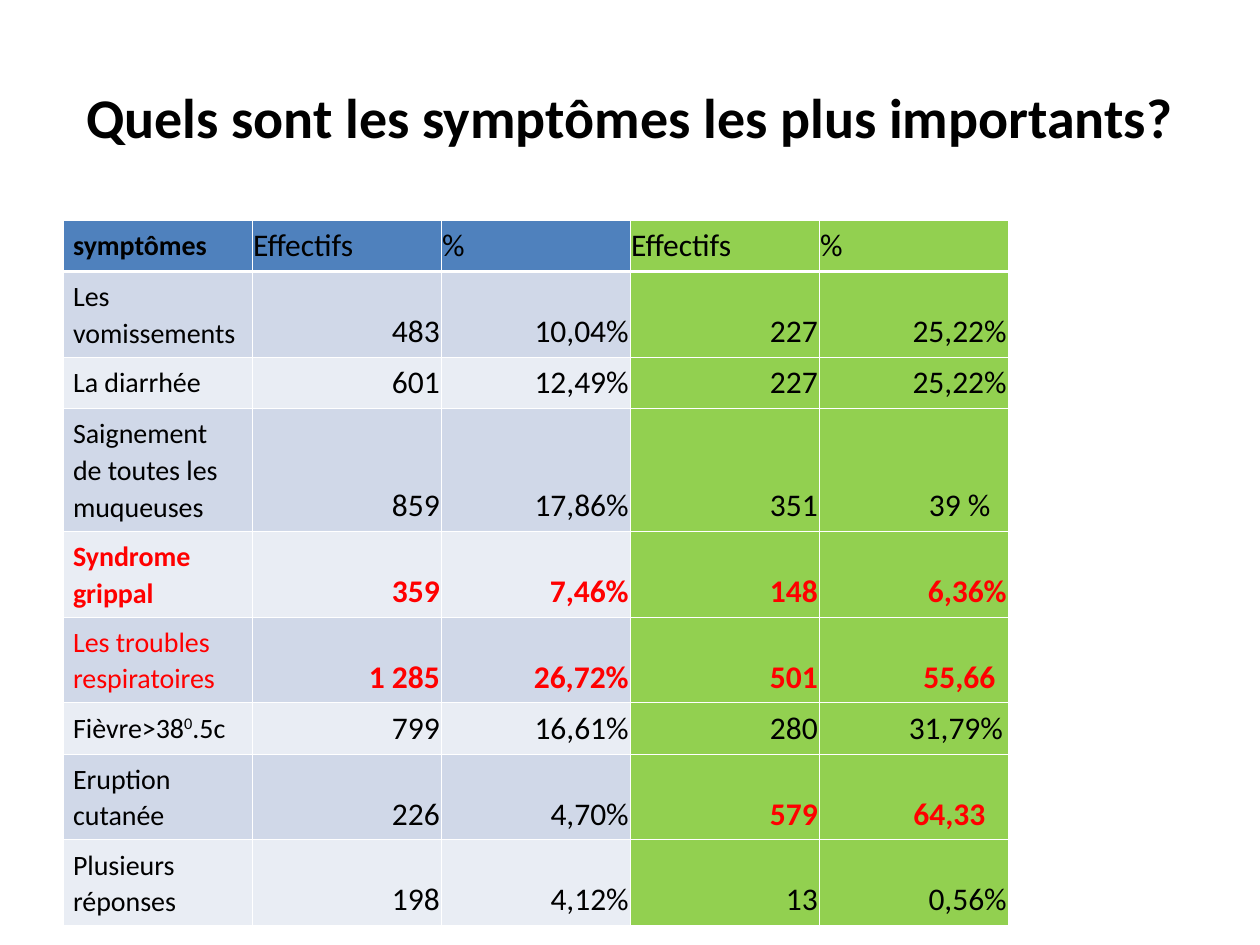
import pptx
import pptx.util
import pptx.dml.color
import pptx.enum.text
import pptx.oxml.ns
import lxml.etree

Inches, Pt = pptx.util.Inches, pptx.util.Pt
ALIGN, ANCHOR = pptx.enum.text.PP_ALIGN, pptx.enum.text.MSO_ANCHOR

COLORS = {
    "text": "000000", "alert": "FF0000", "border": "FFFFFF",
    "header": "4F81BD", "odd": "D0D8E8", "even": "E9EDF4", "green": "92D050",
}

HEADER = ["symptômes", "Effectifs", "%", "Effectifs", "%"]
# Symptom, number of text lines, then the four figures
SYMPTOMS = [
    ("Les vomissements", 2, "483", "10,04%", "227", "25,22%"),
    ("La diarrhée", 1, "601", "12,49%", "227", "25,22%"),
    ("Saignement de toutes les muqueuses", 3, "859", "17,86%", "351", "39 %"),
    ("Syndrome grippal", 2, "359", "7,46%", "148", "6,36%"),
    ("Les troubles respiratoires", 2, "1 285", "26,72%", "501", "55,66"),
    ("Fièvre>38^0^.5c", 1, "799", "16,61%", "280", "31,79%"),
    ("Eruption cutanée", 2, "226", "4,70%", "579", "64,33"),
    ("Plusieurs réponses", 2, "198", "4,12%", "13", "0,56%"),
]
# Cells in red, by (row, column); only one of them is not bold
ALERT_CELLS = {(row, column) for row in (4, 5) for column in range(5)} | {(7, 3), (7, 4)}
REGULAR_ALERT = (5, 0)
# Percentages set in from the right edge, in inches, by row
RIGHT_INSETS = {3: 0.14, 5: 0.1, 6: 0.04, 7: 0.18}


def apply(target, values):
    for name, value in values.items():
        setattr(target, name, value)


def rgb(name):
    return pptx.dml.color.RGBColor.from_string(COLORS[name])


class SlideBuilder:
    """Places elements on a grid of 20 columns by 30 rows."""

    font_name = "Calibri"

    def __init__(self, presentation):
        self.slide = presentation.slides.add_slide(presentation.slide_layouts[5])
        self.column = presentation.slide_width // 20
        self.row = presentation.slide_height // 30

    def add_text(self, frame, text, size, color="text", bold=False, **paragraph_format):
        """Fills one paragraph; text between ^ marks is superscript."""
        paragraph = frame.paragraphs[0]
        apply(paragraph, paragraph_format)
        for index, part in enumerate(text.split("^")):
            run = paragraph.add_run()
            run.text = part
            apply(run.font, {"name": self.font_name, "size": Pt(size), "bold": bold})
            run.font.color.rgb = rgb(color)
            if index % 2:
                run.font._element.set("baseline", "30000")

    def title(self, text, left, top, width, height):
        title = self.slide.shapes.title
        apply(title, {
            "left": int(left * self.column), "top": int(top * self.row),
            "width": int(width * self.column), "height": int(height * self.row),
        })
        title.text_frame.vertical_anchor = ANCHOR.MIDDLE
        self.add_text(title.text_frame, text, 32, bold=True, alignment=ALIGN.CENTER)

    def borders(self, cell, widths):
        properties = cell._tc.get_or_add_tcPr()
        for side, width in widths.items():
            line = lxml.etree.SubElement(
                properties, pptx.oxml.ns.qn(f"a:ln{side}"), w=str(int(Pt(width))))
            fill = lxml.etree.SubElement(line, pptx.oxml.ns.qn("a:solidFill"))
            lxml.etree.SubElement(
                fill, pptx.oxml.ns.qn("a:srgbClr"), val=COLORS["border"])

    def cell(self, table, row, column, text):
        cell = table.cell(row, column)
        is_label, is_header = column == 0, row == 0
        side = 0.08 if is_label else 0.01
        right = RIGHT_INSETS.get(row, side) if column == 4 else side
        apply(cell, {
            "margin_left": Inches(side), "margin_right": Inches(right),
            "margin_top": Inches(0.05), "margin_bottom": Inches(0.05),
            "vertical_anchor": ANCHOR.TOP if is_label else ANCHOR.BOTTOM,
        })
        self.borders(cell, {
            "L": 0.45, "R": 0.45,
            "T": 1.47 if row == 1 else 0.45, "B": 1.47 if is_header else 0.45,
        })
        band = "header" if is_header else "odd" if row % 2 else "even"
        cell.fill.solid()
        cell.fill.fore_color.rgb = rgb("green" if column >= 3 else band)

        alert = (row, column) in ALERT_CELLS
        bold = (alert and (row, column) != REGULAR_ALERT) or (is_header and is_label)
        layout = {"alignment": ALIGN.LEFT if is_label or is_header else ALIGN.RIGHT}
        if is_label:
            layout["line_spacing"] = 1.07
        self.add_text(cell.text_frame, text, 16 if is_label else 18,
                      "alert" if alert else "text", bold, **layout)

    def table(self, rows, line_counts, left, top, column_width):
        heights = [Inches(0.38 if lines == 1 else 0.29 * lines) for lines in line_counts]
        width = column_width * self.column
        table = self.slide.shapes.add_table(
            len(rows), len(rows[0]), left * self.column, top * self.row,
            width * len(rows[0]), sum(heights)).table
        for table_row, height in zip(table.rows, heights):
            table_row.height = height
        for row, texts in enumerate(rows):
            for column, text in enumerate(texts):
                self.cell(table, row, column, text)


def main():
    presentation = pptx.Presentation()
    apply(presentation, {"slide_width": Inches(10), "slide_height": Inches(7.5)})
    builder = SlideBuilder(presentation)

    # Title
    builder.title("Quels sont les symptômes les plus importants?", 1, 1.2, 18, 5)

    # Table of symptoms
    rows = [HEADER] + [[label, *figures] for label, _, *figures in SYMPTOMS]
    line_counts = [1] + [symptom[1] for symptom in SYMPTOMS]
    builder.table(rows, line_counts, left=1, top=7, column_width=3)

    presentation.save("out.pptx")


if __name__ == "__main__":
    main()
